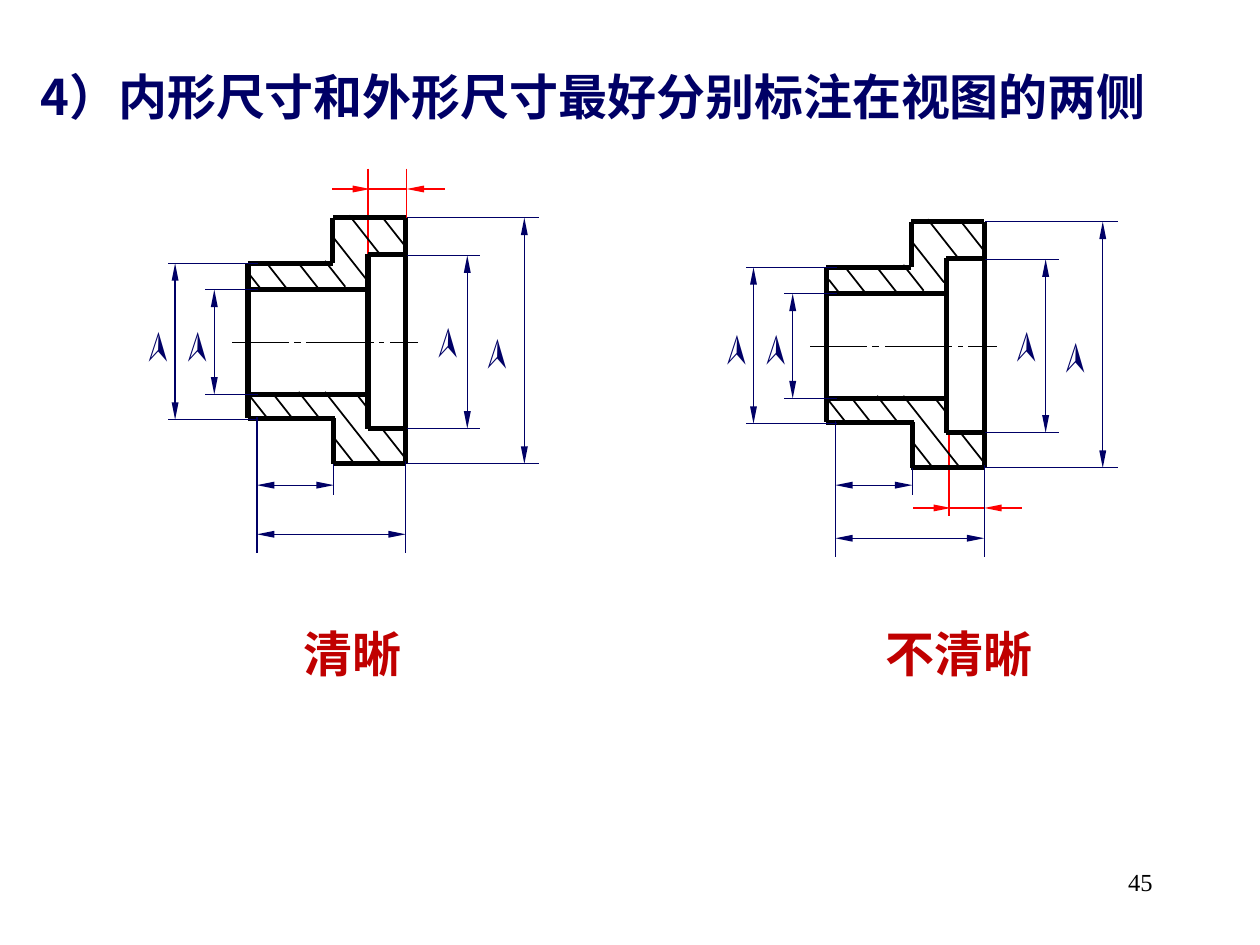
from lxml.etree import SubElement
from pptx import Presentation
from pptx.dml.color import RGBColor
from pptx.enum.shapes import MSO_CONNECTOR
from pptx.enum.text import MSO_ANCHOR, MSO_AUTO_SIZE, PP_ALIGN
from pptx.oxml.ns import qn
from pptx.util import Cm, Pt

HUES = {"navy": "000066", "red": "FF0000", "dark": "C00000",
        "black": "000000", "white": "FFFFFF"}
SANS, SERIF = "Noto Sans CJK SC", "Times New Roman"

# Axes of the flanged sleeve, in cm
LEFT, STEP, BORE, RIGHT = 5.0, 6.71, 7.42, 8.18
TOP, RIM, HUB, HOLE = 4.39, 5.13, 5.31, 5.84
HOLE_LOW, HUB_LOW, RIM_LOW, LOW = 7.95, 8.43, 8.64, 9.35
MID, FOOT = 6.91, 5.18

EDGES = [
    (BORE, RIM, BORE, RIM_LOW),
    (RIGHT, TOP, STEP, TOP), (RIGHT, LOW, STEP, LOW),
    (STEP, HUB, LEFT, HUB), (STEP + 0.05, HUB_LOW, LEFT, HUB_LOW),
    (STEP + 0.02, LOW, STEP + 0.02, HUB_LOW), (STEP, HUB, STEP, TOP),
    (LEFT, HUB, LEFT, HUB_LOW), (RIGHT, TOP, RIGHT, LOW),
    (BORE, HOLE, LEFT, HOLE), (BORE, HOLE_LOW, LEFT, HOLE_LOW),
    (RIGHT, RIM, BORE, RIM), (RIGHT, RIM_LOW, BORE, RIM_LOW),
]
# Hatch strokes: start x, start y, run
HATCH = [
    (5.05, 8.0, 0.33), (5.49, 7.92, 0.4), (6.02, 7.9, 0.4), (6.55, 7.9, 1.14),
    (6.76, 8.86, 0.38), (7.7, 8.64, 0.48), (7.19, 7.95, 0.23),
    (5.05, 5.56, 0.23), (5.38, 5.31, 0.4), (6.02, 5.31, 0.4),
    (6.55, 5.26, 0.41), (6.73, 4.8, 0.64), (7.04, 4.34, 0.65),
    (7.7, 4.37, 0.48),
]
SLOPE = 1.27
# Upright sizes: upper y, lower y, arrow x, witness start x, witness end x
SIZES = [
    (HOLE, HOLE_LOW, 4.32, 5.21, 4.14), (HUB, 8.46, 3.53, 5.21, 3.38),
    (TOP, LOW, 10.57, 8.2, 10.87), (5.15, RIM_LOW, 9.42, 8.2, 9.68),
]
MARKS = [(2.77, 6.43), (3.56, 6.43), (9.6, 6.58), (8.61, 6.35)]
GAPS = [5.87, 6.12, 7.59, 7.8]


class Sheet:
    def __init__(self, deck):
        self.slide = deck.slides.add_slide(deck.slide_layouts[5])
        self.shift = (0, 0)

    def line(self, x1, y1, x2, y2, hue="navy", width=0.75, heads=()):
        dx, dy = self.shift
        link = self.slide.shapes.add_connector(
            MSO_CONNECTOR.STRAIGHT, Cm(x1 + dx), Cm(y1 + dy),
            Cm(x2 + dx), Cm(y2 + dy))
        link.line.color.rgb = RGBColor.from_string(HUES[hue])
        link.line.width = Pt(width)
        props = link._element.spPr
        for head in heads:
            SubElement(props.find(qn("a:ln")), qn("a:" + head),
                       type="triangle", w="sm", len="lg")
        SubElement(props, qn("a:effectLst"))

    def arrow(self, *ends):
        self.line(*ends, heads=("headEnd", "tailEnd"))

    def fill(self, box, text, hue, align, face, ea=None, wrap=True,
             anchor=MSO_ANCHOR.TOP):
        frame = box.text_frame
        style = {"word_wrap": wrap, "auto_size": MSO_AUTO_SIZE.NONE,
                 "vertical_anchor": anchor}
        for key, value in style.items():
            setattr(frame, key, value)
        para = frame.paragraphs[0]
        para.alignment = align
        run = para.add_run()
        run.text = text
        for key, value in face.items():
            setattr(run.font, key, value)
        run.font.color.rgb = RGBColor.from_string(HUES[hue])
        if ea:
            SubElement(run.font._element, qn("a:ea"), typeface=ea)

    def title(self, text, x, y, w, h, face):
        box = self.slide.shapes.title
        place = {"left": x, "top": y, "width": w, "height": h}
        for key, value in place.items():
            setattr(box, key, Cm(value))
        self.fill(box, text, "navy", PP_ALIGN.LEFT, face, SANS)

    def text(self, text, x, y, w, h, hue, align, face, turn=0, **more):
        dx, dy = self.shift
        box = self.slide.shapes.add_textbox(
            Cm(x + dx), Cm(y + dy), Cm(w), Cm(h))
        box.rotation = turn
        self.fill(box, text, hue, align, face, **more)

    def depth(self, x1, x2, y, top, low):
        """Recess depth, with its arrows pointing inward."""
        for x in (x1, x2):
            self.line(x, top, x, low, "red")
        self.line(x1, y, x2, y, "red")
        self.line(x2, y, x2 + 0.77, y, "red", heads=["headEnd"])
        self.line(x1 - 0.72, y, x1 + 0.04, y, "red", heads=["tailEnd"])

    def sleeve(self, dx, dy):
        self.shift = (dx, dy)
        # Section outline and hatching
        self.line(8.43, MID, 4.67, MID, "black")
        for edge in EDGES:
            self.line(*edge, "black", 3)
        for x, y, run in HATCH:
            self.line(x, y, x + run, y + run * SLOPE, "black", 1)
        # Upright sizes
        for top, low, x, start, end in SIZES:
            for y in (top, low):
                self.line(start, y, end, y)
            self.arrow(x, top, x, low)
        # Level sizes; the short one sits at one height on the slide
        short = 9.78 - dy
        self.line(RIGHT, 9.3, RIGHT, 11.15)
        self.line(FOOT, 8.41, FOOT, 11.15)
        self.arrow(FOOT, 10.77, RIGHT, 10.77)
        self.line(6.73, LOW, 6.73, short + 0.2)
        self.arrow(FOOT, short, 6.73, short)
        # Diameter marks
        face = {"name": SERIF, "size": Pt(20), "bold": True, "italic": True}
        for x, y in MARKS:
            self.text("➢", x, y, 0.76, 1.12, "navy", PP_ALIGN.CENTER, face,
                      turn=270, wrap=False, anchor=MSO_ANCHOR.MIDDLE)
        # Breaks in the centre line
        for x in GAPS:
            self.line(x, 6.8, x, 7.01, "white", 3)
        self.shift = (0, 0)


def main():
    deck = Presentation()
    deck.slide_width, deck.slide_height = Cm(25.4), Cm(19.05)
    sheet = Sheet(deck)

    # Title and page number
    sheet.title("4）内形尺寸和外形尺寸最好分别标注在视图的两侧",
                0.56, 1.22, 24.21, 1.45,
                {"name": SANS, "size": Pt(28), "bold": True})
    sheet.text("45", 18.21, 17.35, 5.28, 1.27, "black", PP_ALIGN.RIGHT,
               {"name": SERIF, "size": Pt(14)})

    # Recess depth: above on the left, below on the right
    sheet.depth(7.42, 8.2, 3.81, 3.4, 5.13)
    sheet.depth(19.13, 19.84, 10.24, 8.71, 10.41)

    # Captions
    for text, x in (("清晰", 5.21), ("不清晰", 17.42)):
        sheet.text(text, x, 12.45, 3.81, 1.45, "dark", PP_ALIGN.CENTER,
                   {"name": SERIF, "size": Pt(28), "bold": True}, ea=SANS)

    # The same sleeve twice
    for shift in ((0, 0), (11.66, 0.08)):
        sheet.sleeve(*shift)

    deck.save("out.pptx")


if __name__ == "__main__":
    main()
